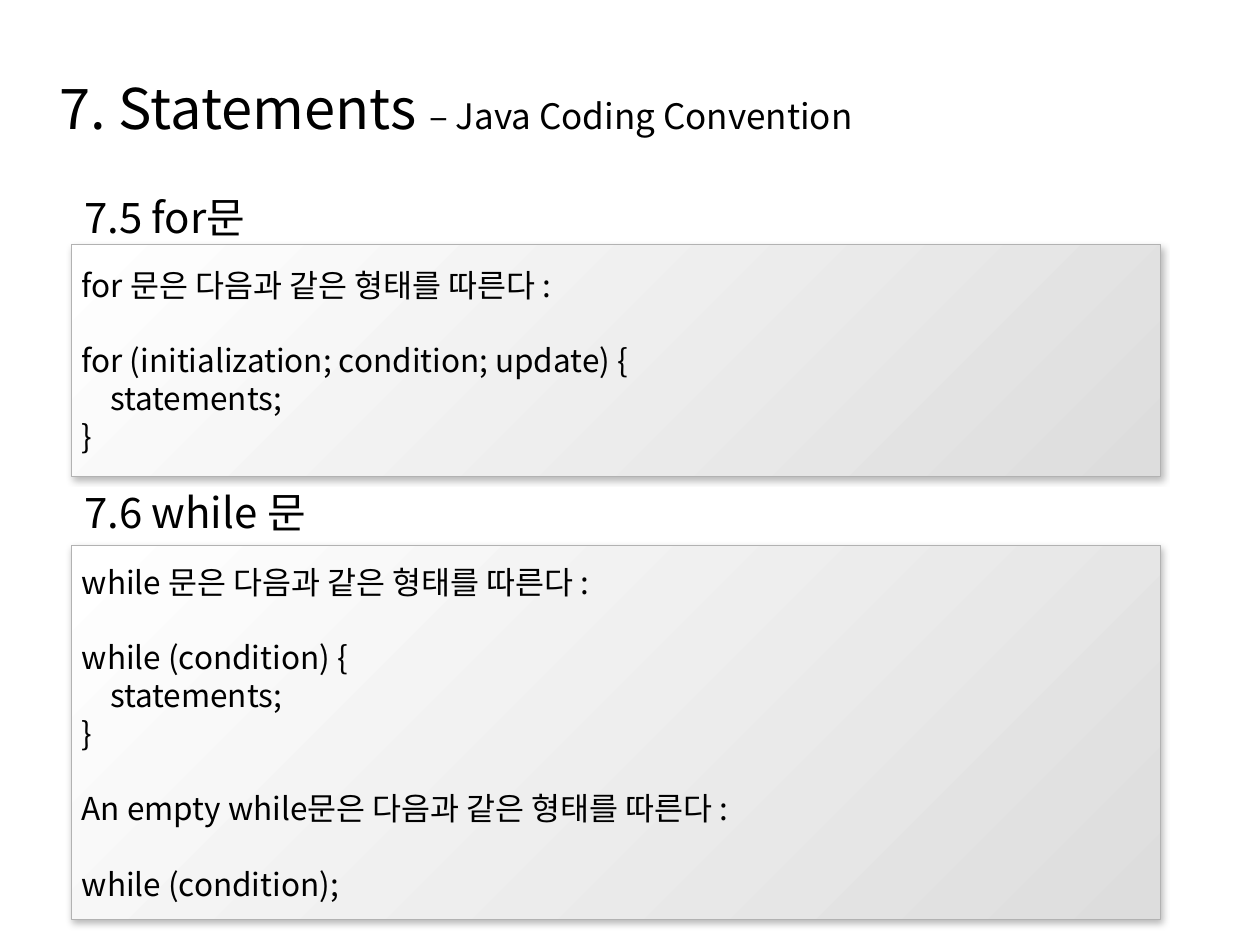
from lxml.etree import SubElement
from pptx import Presentation
from pptx.dml.color import RGBColor
from pptx.enum.shapes import MSO_SHAPE
from pptx.enum.text import MSO_ANCHOR, MSO_AUTO_SIZE, PP_ALIGN
from pptx.oxml.ns import qn
from pptx.util import Pt

FONT = "Noto Sans CJK KR"
LINE_RATIO = 1.2
COLORS = {
    "text": "000000",
    "light": "FFFFFF",
    "dark": "DDDDDD",
    "border": "B2B2B2",
    "shadow": "000000",
}


def color(name):
    return RGBColor.from_string(COLORS[name])


def set_frame(frame, anchor, side, top):
    frame.word_wrap = True
    frame.auto_size = MSO_AUTO_SIZE.NONE
    frame.vertical_anchor = anchor
    frame.margin_left = frame.margin_right = Pt(side)
    frame.margin_top = frame.margin_bottom = Pt(top)


def add_span(para, text, size):
    span = para.add_run()
    span.text = text
    span.font.name = FONT
    span.font.size = Pt(size)
    span.font.color.rgb = color("text")
    SubElement(span.font._element, qn("a:ea"), typeface=FONT)


def set_para(para, size):
    para.alignment = PP_ALIGN.LEFT
    para.line_spacing = Pt(size * LINE_RATIO)


def fill_title(page, left, top, width, height):
    title = page.shapes.title
    title.left, title.top = Pt(left), Pt(top)
    title.width, title.height = Pt(width), Pt(height)
    set_frame(title.text_frame, MSO_ANCHOR.BOTTOM, 0, 3.6)
    para = title.text_frame.paragraphs[0]
    set_para(para, 32)
    add_span(para, "7. Statements ", 32)
    add_span(para, "– Java Coding Convention", 20)


def add_heading(page, text, left, top, width, height):
    box = page.shapes.add_textbox(Pt(left), Pt(top), Pt(width), Pt(height))
    set_frame(box.text_frame, MSO_ANCHOR.TOP, 7.2, 3.6)
    para = box.text_frame.paragraphs[0]
    set_para(para, 24)
    add_span(para, text, 24)


def add_shadow(box):
    box.shadow.inherit = False
    effects = box._element.spPr.find(qn("a:effectLst"))
    shadow = SubElement(effects, qn("a:outerShdw"), blurRad=str(Pt(4)),
                        dist=str(Pt(2)), dir=str(67 * 60000),
                        algn="tl", rotWithShape="0")
    tint = SubElement(shadow, qn("a:srgbClr"), val=COLORS["shadow"])
    SubElement(tint, qn("a:alpha"), val="28000")


def add_code_panel(page, blocks, left, top, width, height):
    box = page.shapes.add_shape(MSO_SHAPE.ROUNDED_RECTANGLE, Pt(left),
                                Pt(top), Pt(width), Pt(height))
    box.adjustments[0] = 0
    box.fill.gradient()
    box.fill.gradient_angle = 315
    for stop, name in zip(box.fill.gradient_stops, ("light", "dark")):
        stop.color.rgb = color(name)
    box.line.color.rgb = color("border")
    box.line.width = Pt(0.5)
    add_shadow(box)

    frame = box.text_frame
    set_frame(frame, MSO_ANCHOR.MIDDLE, 5.76, 5.76)
    para = frame.paragraphs[0]
    for block_index, block in enumerate(blocks):
        for line_index, line in enumerate(block):
            if block_index or line_index:
                para = frame.add_paragraph()
            set_para(para, 18)
            if block_index and not line_index:
                para.space_before = Pt(18 * LINE_RATIO)
            add_span(para, line, 18)


def main():
    deck = Presentation()
    deck.slide_width, deck.slide_height = Pt(720), Pt(540)
    page = deck.slides.add_slide(deck.slide_layouts[5])
    fill_title(page, 34, 36.7, 556.5, 47.5)

    left, panel_width = 41, 622
    add_heading(page, "7.5 for문", left, 106, 360, 58)
    add_heading(page, "7.6 while 문", left, 274.5, 643.5, 58)
    add_code_panel(page, [
        ["for 문은 다음과 같은 형태를 따른다 :"],
        ["for (initialization; condition; update) {", "    statements;", "}"],
    ], left, 139.7, panel_width, 132.5)
    add_code_panel(page, [
        ["while 문은 다음과 같은 형태를 따른다 :"],
        ["while (condition) {", "    statements;", "}"],
        ["An empty while문은 다음과 같은 형태를 따른다 :"],
        ["while (condition);"],
    ], left, 311.8, panel_width, 213.8)
    deck.save("out.pptx")


if __name__ == "__main__":
    main()
